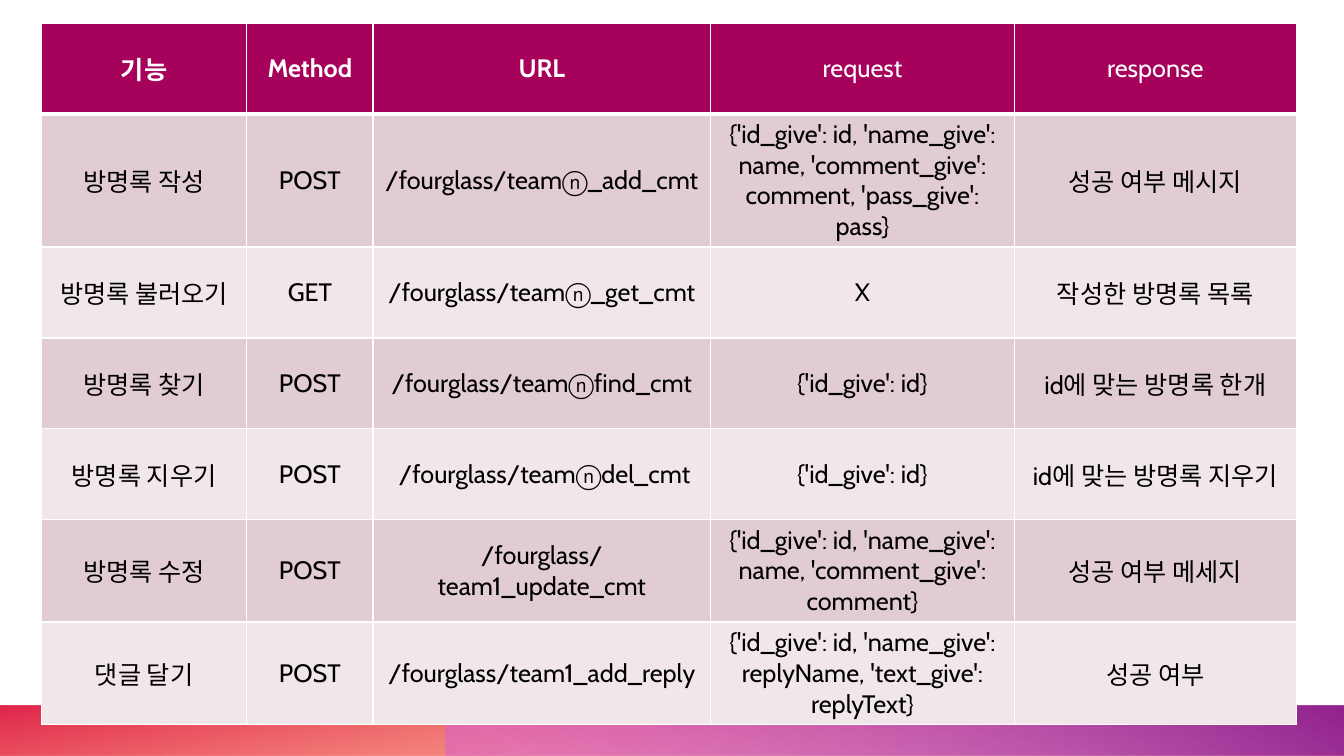
from dataclasses import dataclass

from lxml.etree import SubElement
from pptx import Presentation
from pptx.dml.color import RGBColor
from pptx.enum.shapes import MSO_SHAPE
from pptx.enum.text import MSO_ANCHOR, PP_ALIGN
from pptx.oxml import parse_xml
from pptx.oxml.ns import nsdecls, qn
from pptx.util import Cm, Pt


@dataclass(frozen=True)
class Theme:
    font: str = "Cabin"
    size: int = 18
    header: str = "A6025C"
    header_text: str = "FFFFFF"
    text: str = "000000"
    odd_row: str = "E1CCD2"
    even_row: str = "F1E7EA"
    border: str = "FFFFFF"
    warm_stops: tuple = ((14, "FE4A00", 28), (100, "DA002F", 85))
    violet_stops: tuple = ((9, "D861D4", 55), (99, "92248E", 100))


THEME = Theme()
SLIDE_WIDTH, SLIDE_HEIGHT = 33.87, 19.05
COLUMN_WIDTHS = (5.18, 3.18, 8.51, 7.65, 7.11)
ROW_HEIGHTS = (2.29, 2.87, 2.29, 2.29, 2.29, 2.51, 2.29)
BOLD_HEADERS = 3

API_ROWS = (
    ("기능", "Method", "URL", "request", "response"),
    ("방명록 작성", "POST", "/fourglass/teamⓝ_add_cmt",
     "{'id_give': id, 'name_give': name, 'comment_give': comment, 'pass_give': pass}",
     "성공 여부 메시지"),
    ("방명록 불러오기", "GET", "/fourglass/teamⓝ_get_cmt", "X", "작성한 방명록 목록"),
    ("방명록 찾기", "POST", "/fourglass/teamⓝfind_cmt", "{'id_give': id}",
     "id에 맞는 방명록 한개"),
    ("방명록 지우기", "POST", " /fourglass/teamⓝdel_cmt", "{'id_give': id}",
     "id에 맞는 방명록 지우기"),
    ("방명록 수정", "POST", "/fourglass/team1_update_cmt",
     "{'id_give': id, 'name_give': name, 'comment_give': comment}",
     "성공 여부 메세지"),
    ("댓글 달기", "POST", "/fourglass/team1_add_reply",
     "{'id_give': id, 'name_give': replyName, 'text_give': replyText}",
     "성공 여부"),
)


def add_gradient_band(slide, box, stops, angle, rotation=0):
    band = slide.shapes.add_shape(MSO_SHAPE.RECTANGLE, *(Cm(length) for length in box))
    band.shadow.inherit = False
    band.line.fill.background()
    band.rotation = rotation
    properties = band.element.spPr
    properties.find(qn("a:xfrm")).set("flipH", "1")
    stop_xml = "".join(
        f'<a:gs pos="{position * 1000}"><a:srgbClr val="{color}">'
        f'<a:alpha val="{opacity * 1000}"/></a:srgbClr></a:gs>'
        for position, color, opacity in stops
    )
    gradient = parse_xml(
        f'<a:gradFill {nsdecls("a")} rotWithShape="1"><a:gsLst>{stop_xml}</a:gsLst>'
        f'<a:lin ang="{angle * 60000}" scaled="0"/></a:gradFill>'
    )
    properties.find(qn("a:prstGeom")).addnext(gradient)


def add_footer(slide, left, top, width, height):
    violet_left = left + width * 0.3315
    add_gradient_band(slide, (left, top, width, height), THEME.warm_stops, 100, 180)
    add_gradient_band(slide, (violet_left, top, left + width - violet_left, height),
                      THEME.violet_stops, 240)


def set_borders(cell, bottom_width):
    properties = cell._tc.get_or_add_tcPr()
    widths = {"lnL": 1, "lnR": 1, "lnT": 1, "lnB": bottom_width}
    for index, (side, width) in enumerate(widths.items()):
        line = SubElement(properties, qn(f"a:{side}"), w=str(Pt(width)))
        fill = SubElement(line, qn("a:solidFill"))
        SubElement(fill, qn("a:srgbClr"), val=THEME.border)
        properties.insert(index, line)


def fill_cell(cell, text, fill, color, bold, bottom_width):
    cell.fill.solid()
    cell.fill.fore_color.rgb = RGBColor.from_string(fill)
    cell.vertical_anchor = MSO_ANCHOR.MIDDLE
    cell.text = text
    paragraph = cell.text_frame.paragraphs[0]
    paragraph.alignment = PP_ALIGN.CENTER
    font = paragraph.font
    font.name, font.size, font.bold = THEME.font, Pt(THEME.size), bold
    font.color.rgb = RGBColor.from_string(color)
    set_borders(cell, bottom_width)


def add_api_table(slide, left, top):
    frame = slide.shapes.add_table(
        len(API_ROWS), len(COLUMN_WIDTHS), Cm(left), Cm(top),
        Cm(sum(COLUMN_WIDTHS)), Cm(sum(ROW_HEIGHTS)))
    table = frame.table
    table.first_row = table.horz_banding = False
    for column, width in zip(table.columns, COLUMN_WIDTHS):
        column.width = Cm(width)
    for row, height in zip(table.rows, ROW_HEIGHTS):
        row.height = Cm(height)
    for row_index, texts in enumerate(API_ROWS):
        is_header = row_index == 0
        band = THEME.odd_row if row_index % 2 else THEME.even_row
        fill = THEME.header if is_header else band
        color = THEME.header_text if is_header else THEME.text
        for column_index, text in enumerate(texts):
            fill_cell(table.cell(row_index, column_index), text, fill, color,
                      is_header and column_index < BOLD_HEADERS, 3 if is_header else 1)


def main():
    presentation = Presentation()
    presentation.slide_width = Cm(SLIDE_WIDTH)
    presentation.slide_height = Cm(SLIDE_HEIGHT)
    slide = presentation.slides.add_slide(presentation.slide_layouts[6])
    add_footer(slide, 0, 17.78, SLIDE_WIDTH, 1.27)
    add_api_table(slide, 1.04, 0.58)
    presentation.save("out.pptx")


if __name__ == "__main__":
    main()
